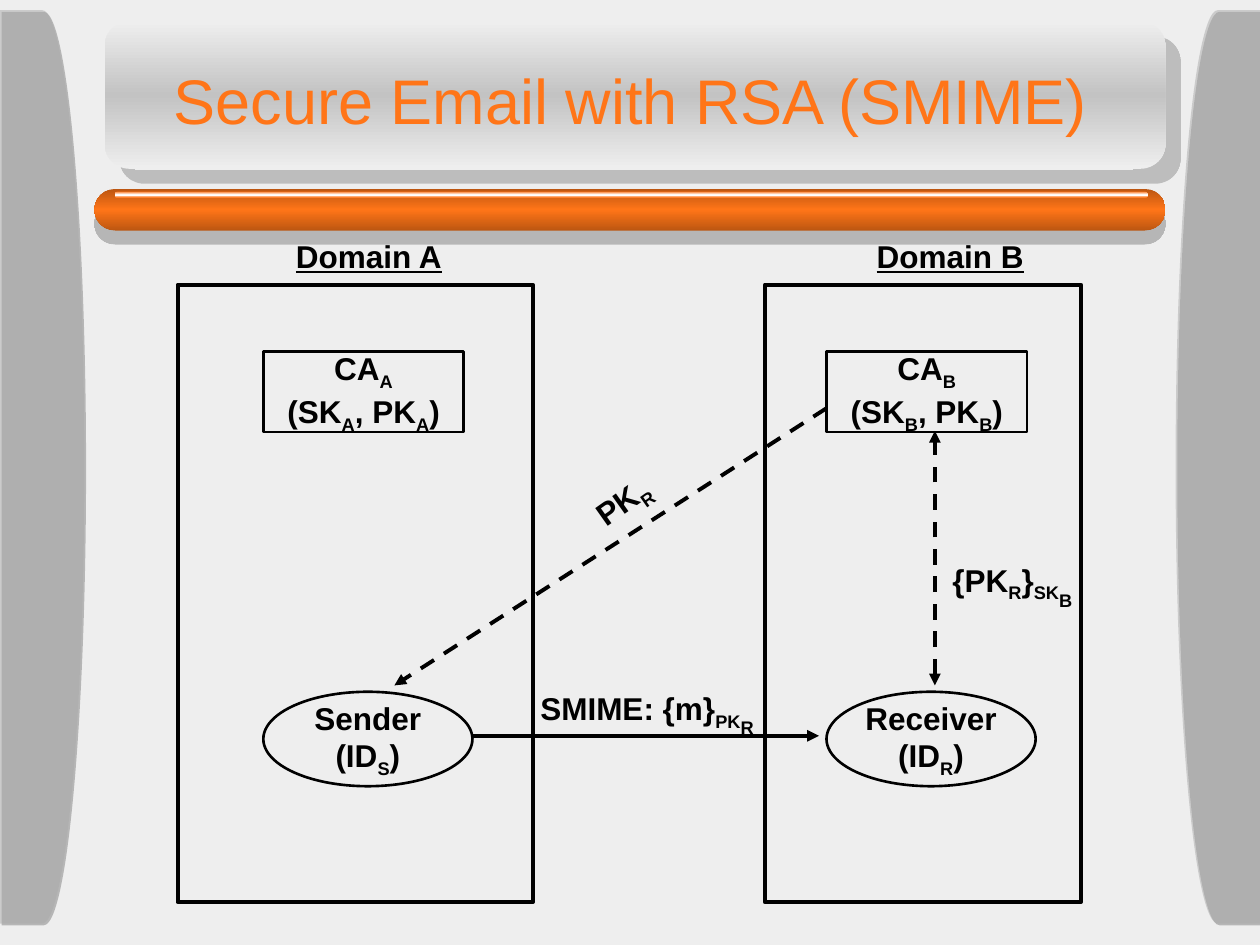
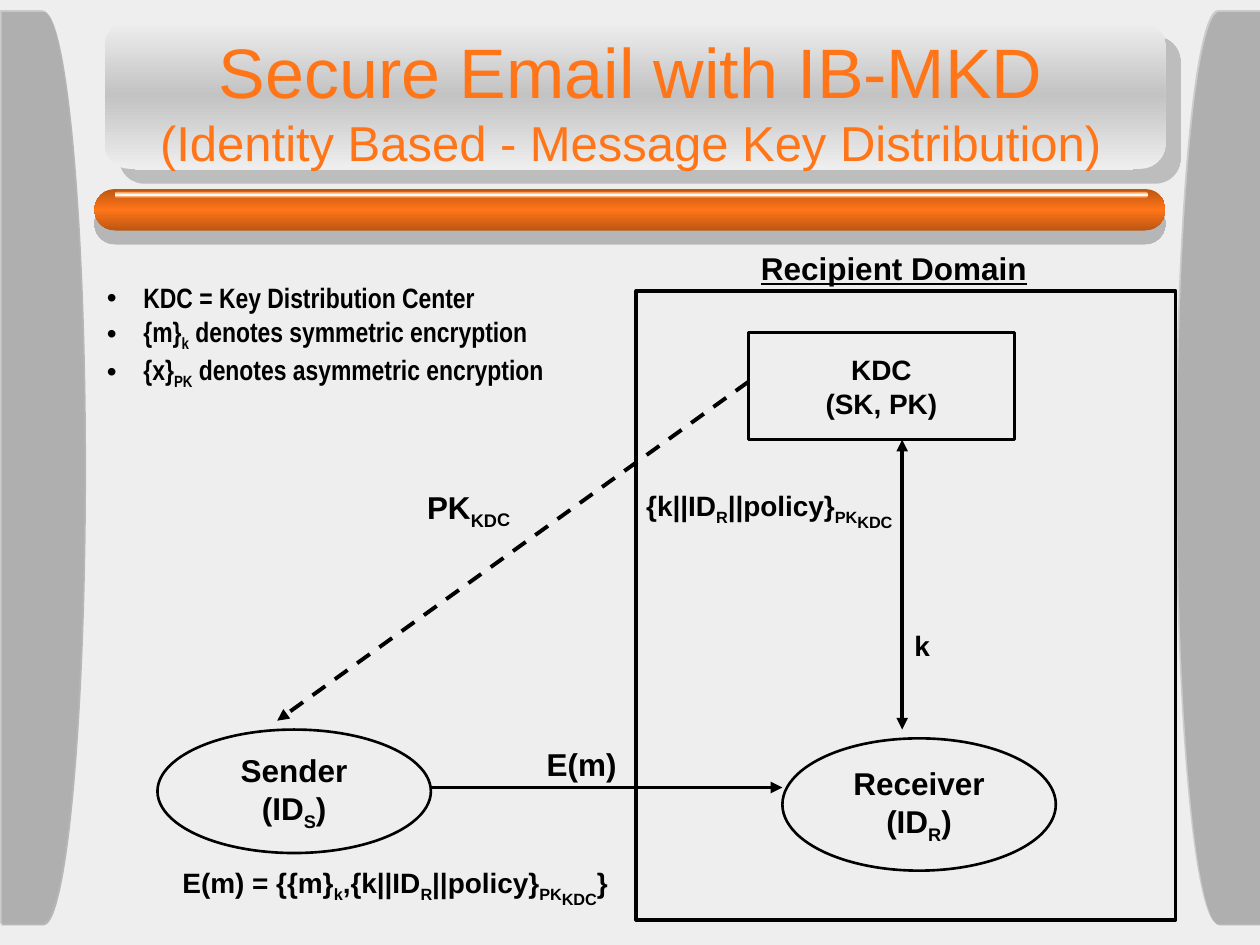
from lxml.etree import SubElement
from pptx import Presentation
from pptx.dml.color import RGBColor
from pptx.enum.dml import MSO_LINE
from pptx.enum.shapes import MSO_CONNECTOR, MSO_SHAPE
from pptx.enum.text import MSO_ANCHOR, MSO_AUTO_SIZE, PP_ALIGN
from pptx.oxml import parse_xml
from pptx.oxml.ns import nsdecls, qn
from pptx.util import Inches, Pt

# Shared look
PAPER = RGBColor(0xEE, 0xEE, 0xEE)
SILVER = RGBColor(0xC3, 0xC3, 0xC3)
PANEL = RGBColor(0xAA, 0xAA, 0xAA)
SHADE = RGBColor(0x80, 0x80, 0x80)
PLATE_SHADE = RGBColor(0x8E, 0x8E, 0x8E)
ORANGE = RGBColor(0xFF, 0x75, 0x18)
RUST = RGBColor(0xBC, 0x56, 0x11)
WHITE = RGBColor(0xFF, 0xFF, 0xFF)
BLACK = RGBColor(0, 0, 0)
FONT = "Arial"
NARROW = "Arial Narrow"


def sub(text, depth=25):
    """A subscript span, lowered by depth percent."""
    return text, -depth


# Text
def add_spans(para, spans):
    for span in spans:
        text, baseline = (span, 0) if isinstance(span, str) else span
        run = para.add_run()
        run.text = text
        if baseline:
            run._r.get_or_add_rPr().set("baseline", str(baseline * 1000))


def style(para, size, color=BLACK, bold=True, name=FONT, underline=None):
    font = para.font
    font.name, font.size, font.bold = name, Pt(size), bold
    font.color.rgb = color
    font.underline = underline


def paragraphs(frame, count):
    return [frame.paragraphs[0]] + [frame.add_paragraph() for _ in range(count - 1)]


def add_label(page, at, spans, size=18, rotation=0, underline=None):
    box = page.shapes.add_textbox(*map(Inches, at))
    box.rotation = rotation
    frame = box.text_frame
    frame.word_wrap = True
    frame.auto_size = MSO_AUTO_SIZE.SHAPE_TO_FIT_TEXT
    add_spans(frame.paragraphs[0], spans)
    style(frame.paragraphs[0], size, underline=underline)


def add_title(page, lines):
    box = page.shapes.add_textbox(Inches(0.92), Inches(0.33), Inches(8.17), Inches(0.92))
    frame = box.text_frame
    frame.word_wrap = True
    frame.vertical_anchor = MSO_ANCHOR.MIDDLE
    for para, (text, size) in zip(paragraphs(frame, len(lines)), lines):
        para.alignment = PP_ALIGN.CENTER
        add_spans(para, [text])
        style(para, size, ORANGE, bold=False)


def add_bullets(page, at, items, indent=0.29):
    box = page.shapes.add_textbox(*map(Inches, at))
    frame = box.text_frame
    frame.word_wrap = True
    for para, spans in zip(paragraphs(frame, len(items)), items):
        properties = para._p.get_or_add_pPr()
        properties.set("marL", str(Inches(indent)))
        properties.set("indent", str(-Inches(indent)))
        SubElement(properties, qn("a:buFont"), typeface=FONT)
        SubElement(properties, qn("a:buChar"), char="•")
        add_spans(para, spans)
        style(para, 16, name=NARROW)


# Shapes and lines
def add_node(page, kind, at, lines=(), size=18, width=1.5):
    node = page.shapes.add_shape(kind, *map(Inches, at))
    node.shadow.inherit = False
    node.fill.background()
    node.line.color.rgb = BLACK
    node.line.width = Pt(width)
    frame = node.text_frame
    frame.word_wrap = False
    frame.vertical_anchor = MSO_ANCHOR.MIDDLE
    for para, spans in zip(paragraphs(frame, max(1, len(lines))), lines):
        para.alignment = PP_ALIGN.CENTER
        add_spans(para, spans)
        style(para, size)


def add_domain(page, at, name, name_at):
    add_node(page, MSO_SHAPE.RECTANGLE, at, width=2.25)
    add_label(page, name_at, [name], underline=True)


def add_person(page, at, role, letter):
    add_node(page, MSO_SHAPE.OVAL, at, [[role], ["(ID", sub(letter), ")"]])


def add_line(page, start, end, color=BLACK, dashed=False, arrows=()):
    line = page.shapes.add_connector(MSO_CONNECTOR.STRAIGHT, *map(Inches, start + end))
    line.line.color.rgb = color
    line.line.width = Pt(2.25)
    if dashed:
        line.line.dash_style = MSO_LINE.DASH
    properties = line._element.spPr
    for arrow in arrows:
        SubElement(properties.find(qn("a:ln")), qn(f"a:{arrow}"), type="triangle")
    SubElement(properties, qn("a:effectLst"))


# Slide frame
def add_frame_shape(page, kind, at, corner=None):
    shape = page.shapes.add_shape(kind, *map(Inches, at))
    shape.shadow.inherit = False
    shape.line.fill.background()
    if corner is not None:
        shape.adjustments[0] = corner
    return shape


def set_gradient(shape, edge, middle):
    stops = "".join(
        f'<a:gs pos="{position}"><a:srgbClr val="{color}"/></a:gs>'
        for position, color in ((0, edge), (50000, middle), (100000, edge)))
    shape._element.spPr.find(qn("a:prstGeom")).addnext(parse_xml(
        f'<a:gradFill {nsdecls("a")} rotWithShape="1"><a:gsLst>{stops}</a:gsLst>'
        '<a:lin ang="5400000" scaled="0"/></a:gradFill>'))


def set_shadow(shape, color, distance, angle):
    effects = shape._element.spPr.find(qn("a:effectLst"))
    effects.append(parse_xml(
        f'<a:outerShdw {nsdecls("a")} dist="{Pt(distance)}" dir="{angle * 60000}" '
        f'algn="ctr" rotWithShape="0"><a:srgbClr val="{color}">'
        '<a:alpha val="50000"/></a:srgbClr></a:outerShdw>'))


def add_page(deck, title_lines):
    page = deck.slides.add_slide(deck.slide_layouts[6])
    page.background.fill.solid()
    page.background.fill.fore_color.rgb = PAPER

    # Title plate
    plate = add_frame_shape(page, MSO_SHAPE.ROUNDED_RECTANGLE, (0.83, 0.17, 8.42, 1.17), 0.17)
    set_gradient(plate, PAPER, SILVER)
    set_shadow(plate, PLATE_SHADE, 12.1, 45)
    add_line(page, (1.07, 1.33), (8.99, 1.33), PAPER)

    # Orange bar with its highlight
    bar = add_frame_shape(page, MSO_SHAPE.ROUNDED_RECTANGLE, (0.75, 1.5, 8.5, 0.33), 0.5)
    set_gradient(bar, RUST, ORANGE)
    set_shadow(bar, SHADE, 8, 90)
    shine = add_frame_shape(page, MSO_SHAPE.ROUNDED_RECTANGLE, (0.91, 1.52, 8.2, 0.05), 0.5)
    set_gradient(shine, ORANGE, WHITE)

    # Side panels
    for left, rotation in ((0, 0), (9.33, 180)):
        panel = add_frame_shape(page, MSO_SHAPE.FLOWCHART_DELAY, (left, 0.08, 0.67, 7.25))
        panel.rotation = rotation
        panel.fill.solid()
        panel.fill.fore_color.rgb = PANEL
        color = panel._element.spPr.find(qn("a:solidFill"))[0]
        SubElement(color, qn("a:alpha"), val="50000")
        set_shadow(panel, SHADE, 1.4, 45)

    add_title(page, title_lines)
    return page


def add_rsa_page(deck):
    page = add_page(deck, [("Secure Email with RSA (SMIME)", 36)])

    # Domains, each with its authority and person
    domains = (
        ("A", (1.41, 2.26, 2.82, 4.9), 2.25, 2.09, "Sender", "S"),
        ("B", (6.07, 2.26, 2.51, 4.9), 6.86, 6.56, "Receiver", "R"),
    )
    for letter, at, name_left, left, role, initial in domains:
        add_domain(page, at, f"Domain {letter}", (name_left, 1.83, 1.45, 0.4))
        key = sub(letter)
        add_node(page, MSO_SHAPE.RECTANGLE, (left, 2.79, 1.59, 0.64),
                 [["CA", key], ["(SK", key, ", PK", key, ")"]])
        add_person(page, (left, 5.49, 1.66, 0.75), role, initial)

    # Messages
    add_line(page, (3.74, 5.84), (6.5, 5.84), arrows=["tailEnd"])
    add_label(page, (4.19, 5.42, 2, 0.49), ["SMIME: {m}", sub("PK"), sub("R", 43)])
    add_line(page, (6.56, 3.24), (3.13, 5.44), dashed=True, arrows=["tailEnd"])
    add_label(page, (4.51, 3.41, 1.89, 0.44), ["PK", sub("R")], rotation=324.7)
    add_line(page, (7.42, 5.44), (7.42, 3.42), dashed=True, arrows=["headEnd", "tailEnd"])
    add_label(page, (7.46, 4.4, 1.25, 0.5),
              ["{PK", sub("R"), "}", sub("SK"), sub("B", 49)])


def add_mkd_page(deck):
    page = add_page(deck, [("Secure Email with IB-MKD", 40),
                           ("(Identity Based - Message Key Distribution)", 28)])

    # Recipient domain and people
    add_domain(page, (5.05, 2.31, 4.28, 4.99), "Recipient Domain", (5.94, 1.93, 2.4, 0.4))
    add_node(page, MSO_SHAPE.RECTANGLE, (5.94, 2.64, 2.11, 0.85),
             [["KDC"], ["(SK, PK)"]], size=16)
    add_person(page, (1.25, 5.79, 2.17, 0.98), "Sender", "S")
    add_person(page, (6.21, 5.86, 2.17, 1.05), "Receiver", "R")

    # Notation
    add_bullets(page, (0.75, 2.18, 6.32, 1.08), [
        ["KDC = Key Distribution Center"],
        ["{m}", sub("k"), " denotes symmetric encryption"],
        ["{x}", sub("PK"), " denotes asymmetric encryption"],
    ])

    # Messages
    key_packet = ["{k||ID", sub("R"), "||policy}", sub("PK"), sub("KDC", 43)]
    add_line(page, (5.94, 3.03), (2.2, 5.72), dashed=True, arrows=["tailEnd"])
    add_label(page, (3.29, 3.82, 1.49, 0.44), ["PK", sub("KDC")], rotation=359.7)
    add_line(page, (7.16, 5.79), (7.16, 3.49), arrows=["headEnd", "tailEnd"])
    add_label(page, (5.03, 3.83, 2.25, 0.45), key_packet, size=16)
    add_label(page, (7.16, 4.94, 0.4, 0.37), ["k"], size=16)
    add_line(page, (3.42, 6.25), (6.21, 6.25), arrows=["tailEnd"])
    add_label(page, (4.24, 5.86, 1.15, 0.4), ["E(m)"], rotation=359.7)
    add_label(page, (1.35, 6.82, 3.7, 0.45),
              ["E(m) = {{m}", sub("k"), ",", *key_packet, "}"], size=16)


def main():
    deck = Presentation()
    deck.slide_width, deck.slide_height = Inches(10), Inches(7.5)
    add_rsa_page(deck)
    add_mkd_page(deck)
    deck.save("out.pptx")


if __name__ == "__main__":
    main()
